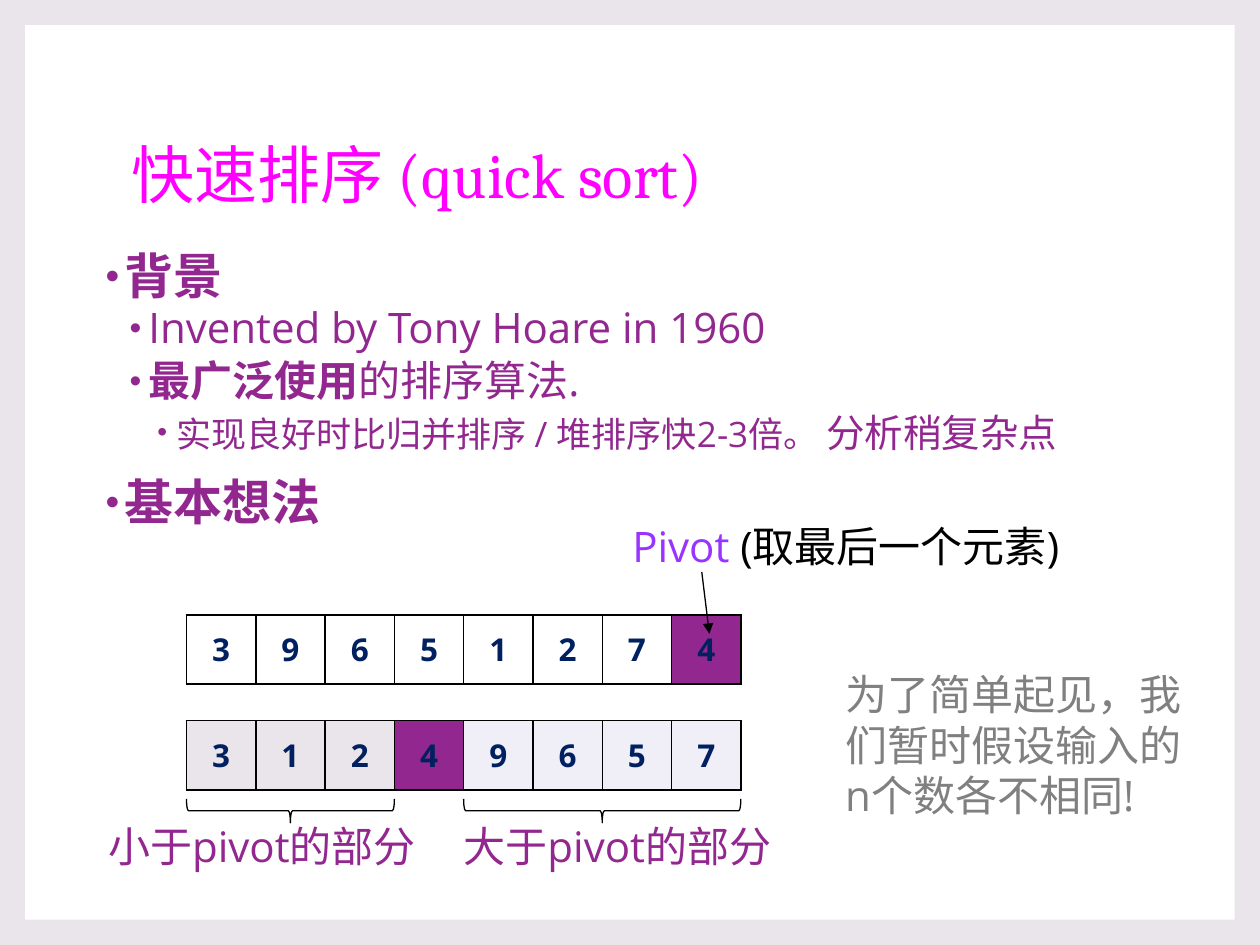
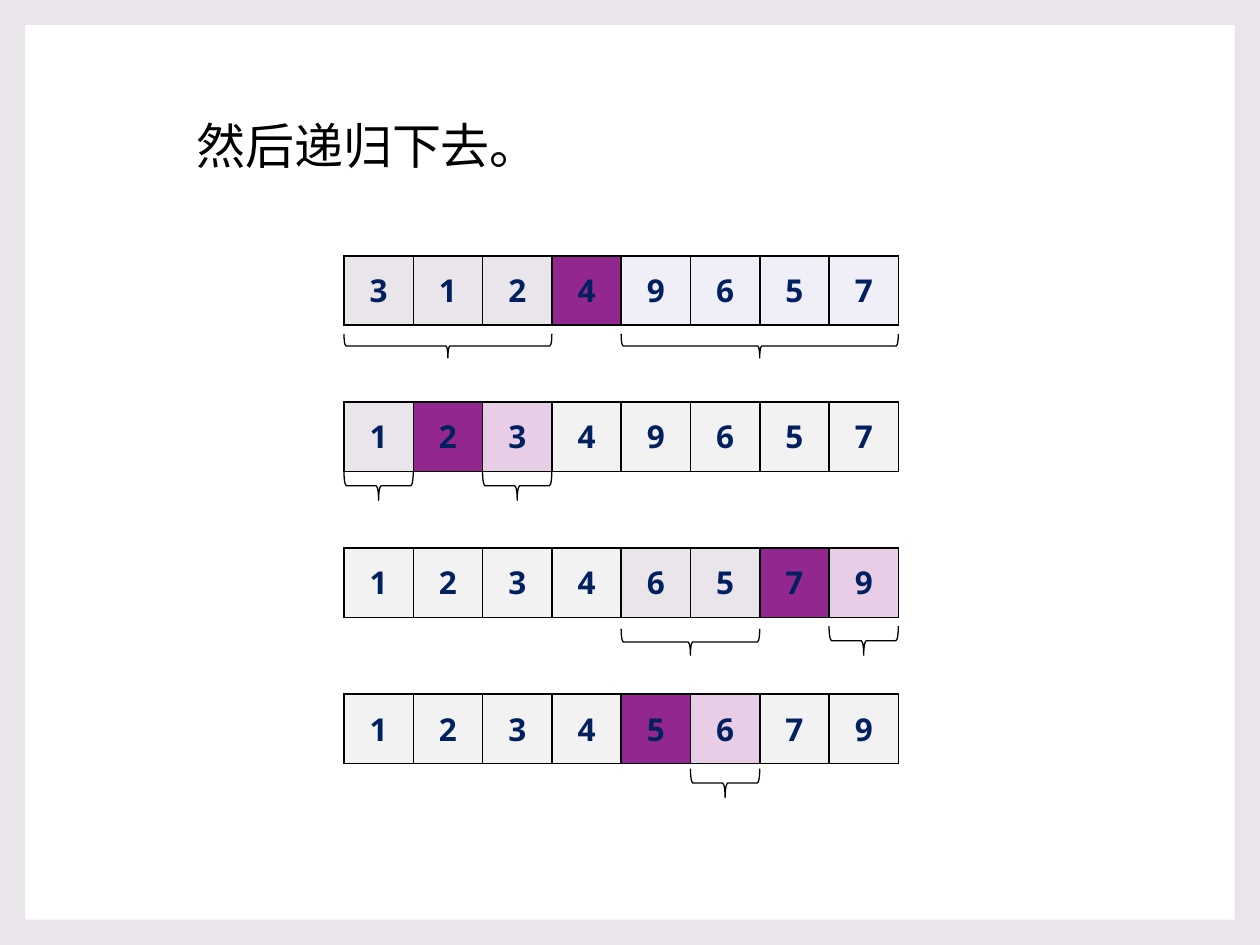
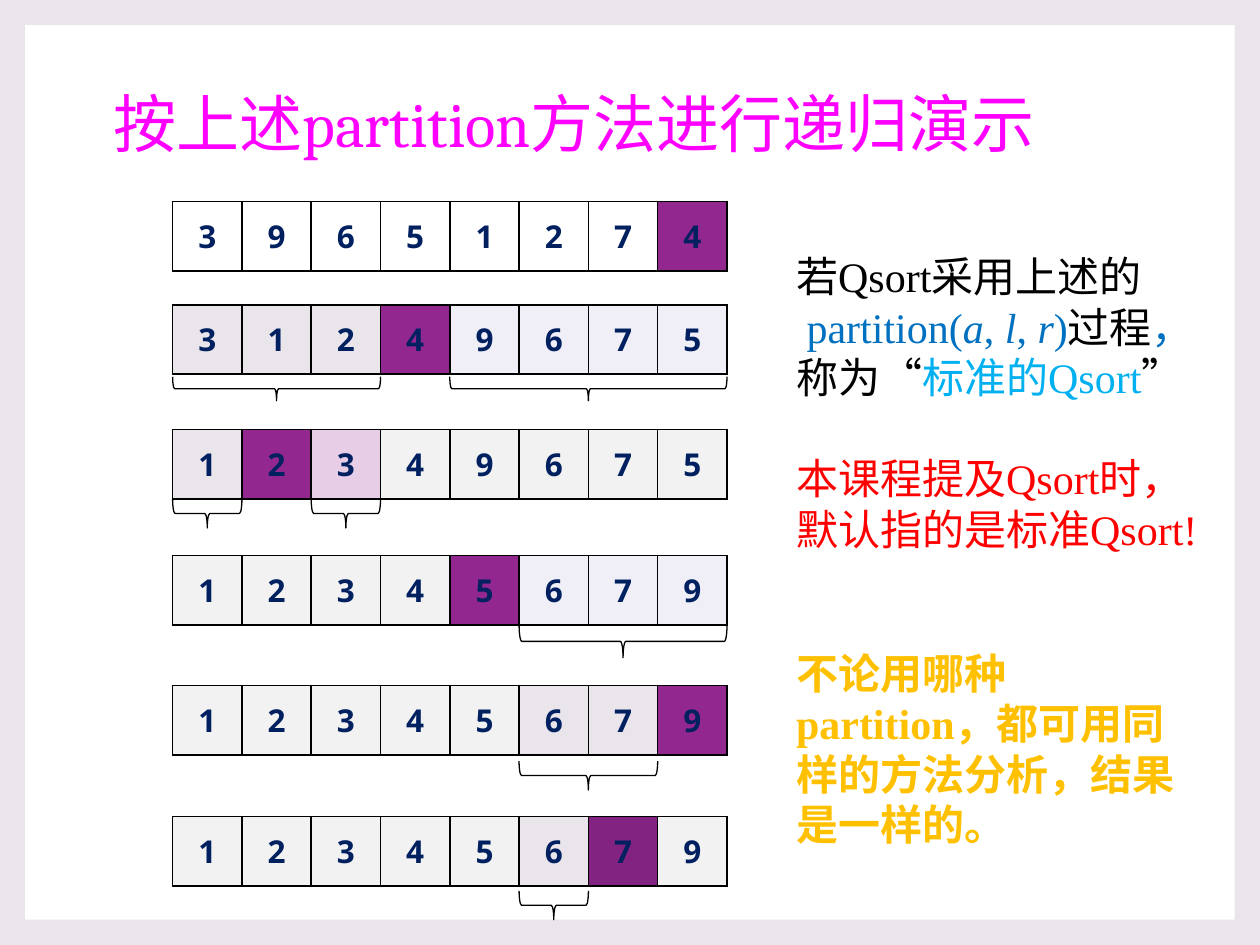
from dataclasses import dataclass
from typing import Optional

from lxml.etree import SubElement
from pptx import Presentation
from pptx.dml.color import RGBColor
from pptx.enum.shapes import MSO_CONNECTOR as Connector, MSO_SHAPE as Preset
from pptx.enum.text import MSO_ANCHOR as Anchor, MSO_AUTO_SIZE as AutoSize, PP_ALIGN as Align
from pptx.oxml.ns import qn
from pptx.util import Emu, Inches, Pt


@dataclass(frozen=True)
class Theme:
    sans: str = "Open Sans"
    serif: str = "Times New Roman"
    heading: str = "Cambria"
    frame: str = "EAE5EB"
    panel: str = "FFFFFF"
    title: str = "FF00FF"
    accent: str = "92278F"
    ink: str = "000000"
    digit: str = "002060"
    violet: str = "9933FF"
    muted: str = "808080"
    blue: str = "0070C0"
    cyan: str = "00B0F0"
    red: str = "FF0000"
    gold: str = "FFC000"
    title_size: float = 36
    topic_size: float = 28
    text_size: float = 24
    remark_size: float = 22
    detail_size: float = 20
    digit_size: float = 18
    hairline: float = 0.75
    border: float = 1


THEME = Theme()
CELL = Inches(0.55)
CELL_FILLS = {
    "W": THEME.panel,
    "L": THEME.frame,
    "P": THEME.accent,
    "Q": "832381",
    "H": "F0EFF8",
    "S": "E8CDE7",
    "D": "F2F2F2",
}


@dataclass(frozen=True)
class Style:
    name: Optional[str] = None
    size: Optional[float] = None
    color: Optional[str] = None
    bold: Optional[bool] = None
    italic: Optional[bool] = None


@dataclass(frozen=True)
class Span:
    text: str
    style: Style = Style()


@dataclass(frozen=True)
class Line:
    spans: tuple[Span, ...]
    style: Style
    space_before: float = 0


@dataclass(frozen=True)
class Bullet:
    level: int
    line: Line


@dataclass(frozen=True)
class Box:
    left: float
    top: float
    width: float
    height: float


@dataclass(frozen=True)
class Brace:
    first: int
    count: int
    gap: float
    depth: float = 0.23


@dataclass(frozen=True)
class ArrayRow:
    top: float
    values: str
    fills: str
    braces: tuple[Brace, ...] = ()


BULLET_INDENTS = (0.19, 0.38, 0.6)
TITLE_STYLE = Style(THEME.heading, THEME.title_size, THEME.title)
DIGIT_STYLE = Style(THEME.sans, THEME.digit_size, THEME.digit, True)
ACCENT_STYLE = Style(THEME.sans, THEME.text_size, THEME.accent)
TOPIC_STYLE = Style(THEME.sans, THEME.topic_size, THEME.accent, True)
SERIF_STYLE = Style(THEME.serif, THEME.text_size, THEME.ink)
HALVES = (Brace(0, 3, 0.07, 0.19), Brace(4, 4, 0.07, 0.19))
CLOSE_HALVES = (Brace(0, 3, 0.02, 0.19), Brace(4, 4, 0.02, 0.19))
SINGLES = (Brace(0, 1, 0), Brace(2, 1, 0))


def plain(text: str, style: Style, space_before: float = 0) -> Line:
    return Line((Span(text),), style, space_before)


def apply_style(font, style: Style) -> None:
    if style.name:
        font.name = style.name
    if style.size:
        font.size = Pt(style.size)
    if style.color:
        font.color.rgb = RGBColor.from_string(style.color)
    if style.bold is not None:
        font.bold = style.bold
    if style.italic is not None:
        font.italic = style.italic


def write_line(paragraph, line: Line) -> None:
    if line.space_before:
        paragraph.space_before = Pt(line.space_before)
    apply_style(paragraph.font, line.style)
    for span in line.spans:
        run = paragraph.add_run()
        run.text = span.text
        if span.style != Style():
            apply_style(run.font, span.style)


def place(shape, box: Box) -> None:
    shape.left, shape.top = Inches(box.left), Inches(box.top)
    shape.width, shape.height = Inches(box.width), Inches(box.height)


def add_paragraphs(text_frame, count: int) -> list:
    return [text_frame.paragraphs[0]] + [text_frame.add_paragraph() for _ in range(count - 1)]


def add_text(slide, box: Box, *lines: Line, wrap: bool = True) -> None:
    shape = slide.shapes.add_textbox(0, 0, 0, 0)
    place(shape, box)
    shape.text_frame.word_wrap = wrap
    for paragraph, line in zip(add_paragraphs(shape.text_frame, len(lines)), lines):
        write_line(paragraph, line)


def set_title(slide, box: Box, line: Line) -> None:
    title = slide.shapes.title
    place(title, box)
    title.text_frame.auto_size = AutoSize.NONE
    title.text_frame.vertical_anchor = Anchor.MIDDLE
    paragraph = title.text_frame.paragraphs[0]
    paragraph.alignment = Align.LEFT
    paragraph.line_spacing = 0.9
    write_line(paragraph, line)


def format_bullet(paragraph, level: int) -> None:
    paragraph.level = level
    paragraph.line_spacing = 0.9
    paragraph.space_before = Pt(1.5 if level else 10)
    paragraph.space_after = Pt(3 if level else 0)
    properties = paragraph._p.get_or_add_pPr()
    properties.set("marL", str(Inches(BULLET_INDENTS[level])))
    properties.set("indent", str(Inches(-0.15)))
    color = SubElement(properties, qn("a:buClr"))
    SubElement(color, qn("a:srgbClr"), val=THEME.accent)
    SubElement(properties, qn("a:buSzPct"), val="80000")
    SubElement(properties, qn("a:buFont"), typeface="Arial")
    SubElement(properties, qn("a:buChar"), char="•")


def add_bullets(slide, box: Box, bullets: tuple[Bullet, ...]) -> None:
    shape = slide.shapes.add_textbox(0, 0, 0, 0)
    place(shape, box)
    shape.text_frame.word_wrap = True
    for paragraph, bullet in zip(add_paragraphs(shape.text_frame, len(bullets)), bullets):
        format_bullet(paragraph, bullet.level)
        write_line(paragraph, bullet.line)


def add_borders(cell) -> None:
    properties = cell._tc.get_or_add_tcPr()
    for side in ("lnL", "lnR", "lnT", "lnB"):
        edge = SubElement(properties, qn(f"a:{side}"), w=str(Pt(THEME.border)))
        fill = SubElement(edge, qn("a:solidFill"))
        SubElement(fill, qn("a:srgbClr"), val=THEME.ink)


def set_line(line) -> None:
    line.color.rgb = RGBColor.from_string(THEME.ink)
    line.width = Pt(THEME.hairline)


def add_brace(slide, row_left: Emu, row_bottom: Emu, brace: Brace) -> None:
    span, depth = CELL * brace.count, Inches(brace.depth)
    center_x = row_left + CELL * brace.first + span // 2
    center_y = row_bottom + Inches(brace.gap) + depth // 2
    shape = slide.shapes.add_shape(
        Preset.LEFT_BRACE, center_x - depth // 2, center_y - span // 2, depth, span
    )
    shape.rotation = 270
    shape.shadow.inherit = False
    shape.fill.background()
    set_line(shape.line)


def add_array(slide, left: float, row: ArrayRow) -> None:
    row_left, row_top = Inches(left), Inches(row.top)
    count = len(row.values)
    table = slide.shapes.add_table(1, count, row_left, row_top, CELL * count, CELL).table
    table.first_row = table.horz_banding = False
    for column, cell, value, fill in zip(
        table.columns, table.rows[0].cells, row.values, row.fills
    ):
        column.width = CELL
        add_borders(cell)
        cell.fill.solid()
        cell.fill.fore_color.rgb = RGBColor.from_string(CELL_FILLS[fill])
        cell.vertical_anchor = Anchor.MIDDLE
        paragraph = cell.text_frame.paragraphs[0]
        paragraph.alignment = Align.CENTER
        write_line(paragraph, plain(value, DIGIT_STYLE))
    for brace in row.braces:
        add_brace(slide, row_left, row_top + CELL, brace)


def add_arrow(slide, start: tuple[float, float], end: tuple[float, float]) -> None:
    arrow = slide.shapes.add_connector(
        Connector.STRAIGHT, *(Inches(value) for value in start + end)
    )
    set_line(arrow.line)
    SubElement(arrow.line._get_or_add_ln(), qn("a:tailEnd"), type="triangle")
    SubElement(arrow._element.spPr, qn("a:effectLst"))


def set_master(presentation, slide) -> None:
    master = presentation.slide_master
    master.background.fill.solid()
    master.background.fill.fore_color.rgb = RGBColor.from_string(THEME.frame)
    panel = slide.shapes.add_shape(Preset.RECTANGLE, 0, 0, 0, 0)
    place(panel, Box(0.2, 0.2, 9.6, 7.1))
    panel.shadow.inherit = False
    panel.fill.solid()
    panel.fill.fore_color.rgb = RGBColor.from_string(THEME.panel)
    panel.line.fill.background()
    panel._element.nvSpPr.cNvPr.set("id", "20")
    master.shapes.element.insert(2, panel._element)


def build_idea(slide) -> None:
    set_title(slide, Box(0.94, 0.67, 8.1, 1.48), plain("快速排序 (quick sort)", TITLE_STYLE))
    detail = Line(
        (
            Span("实现良好时比归并排序 / 堆排序快2-3倍。 ", Style(size=THEME.detail_size)),
            Span("分析稍复杂点", Style(size=THEME.remark_size)),
        ),
        ACCENT_STYLE,
    )
    usage = Line((Span("最广泛使用", Style(bold=True)), Span("的排序算法.")), ACCENT_STYLE)
    add_bullets(
        slide,
        Box(0.7, 1.95, 9.3, 3.12),
        (
            Bullet(0, plain("背景", TOPIC_STYLE)),
            Bullet(1, plain("Invented by Tony Hoare in 1960", ACCENT_STYLE)),
            Bullet(1, usage),
            Bullet(2, detail),
            Bullet(0, plain("基本想法", TOPIC_STYLE)),
        ),
    )
    add_array(slide, 1.48, ArrayRow(4.88, "39651274", "WWWWWWWP"))
    add_array(slide, 1.48, ArrayRow(5.72, "31249657", "LLLPHHHH", HALVES))
    pivot = Line(
        (
            Span("Pivot ", Style(color=THEME.violet)),
            Span("(取最后一个元素)", Style(color=THEME.ink)),
        ),
        Style(THEME.sans, THEME.text_size),
    )
    add_text(slide, Box(4.92, 4.08, 3.78, 0.5), pivot)
    add_text(slide, Box(0.76, 6.46, 2.78, 0.5), plain("小于pivot的部分", ACCENT_STYLE))
    add_text(slide, Box(3.58, 6.46, 2.89, 0.5), plain("大于pivot的部分", ACCENT_STYLE))
    add_text(
        slide,
        Box(6.61, 5.26, 2.89, 1.31),
        plain(
            "为了简单起见，我们暂时假设输入的n个数各不相同!",
            Style(THEME.sans, THEME.text_size, THEME.muted),
        ),
    )
    add_arrow(slide, (5.57, 4.54), (5.63, 5.03))


def build_recursion(slide) -> None:
    add_text(
        slide,
        Box(1.46, 0.87, 2.95, 0.57),
        plain("然后递归下去。", Style(THEME.sans, THEME.topic_size, THEME.ink)),
        wrap=False,
    )
    steps = (
        ("31249657", "LLLPHHHH", HALVES),
        ("12349657", "LPSDDDDD", SINGLES),
        ("12346579", "DDDDLLPS", (Brace(4, 2, 0.09, 0.21), Brace(7, 1, 0.07))),
        ("12345679", "DDDDPSDD", (Brace(5, 1, 0.04),)),
    )
    for index, step in enumerate(steps):
        add_array(slide, 2.73, ArrayRow(2.03 + 1.16 * index, *step))


def build_demo(slide) -> None:
    sans = Style(name=THEME.sans)
    title = Line((Span("按上述", sans), Span("partition"), Span("方法进行递归演示", sans)), TITLE_STYLE)
    set_title(slide, Box(0.8, 0.56, 8.5, 0.9), title)
    for row in (
        ArrayRow(1.6, "39651274", "WWWWWWWP"),
        ArrayRow(2.42, "31249675", "LLLPHHHH", CLOSE_HALVES),
        ArrayRow(3.41, "12349675", "LPSDDDDD", SINGLES),
        ArrayRow(4.41, "12345679", "DDDDPHHH", (Brace(5, 3, 0, 0.26),)),
        ArrayRow(5.44, "12345679", "DDDDDLLP", (Brace(5, 2, 0.05),)),
        ArrayRow(6.48, "12345679", "DDDDDLQD", (Brace(5, 1, 0.04),)),
    ):
        add_array(slide, 1.37, row)
    blue = Style(color=THEME.blue)
    argument = Style(color=THEME.blue, italic=True)
    signature = (
        Span(" partition(", blue),
        Span("a", argument),
        Span(", ", blue),
        Span("l", argument),
        Span(", ", blue),
        Span("r", argument),
        Span(")", blue),
        Span("过程"),
        Span("，", blue),
    )
    naming = (Span("称为“"), Span("标准的Qsort", Style(color=THEME.cyan)), Span("”"))
    convention = Style(THEME.serif, THEME.text_size, THEME.red)
    add_text(
        slide,
        Box(6.22, 1.94, 3.45, 2.52),
        plain("若Qsort采用上述的", SERIF_STYLE),
        Line(signature, SERIF_STYLE),
        Line(naming, SERIF_STYLE),
        plain("本课程提及Qsort时，", convention, 29),
        plain("默认指的是标准Qsort!", convention),
    )
    add_text(
        slide,
        Box(6.22, 5.09, 3.3, 1.31),
        plain(
            "不论用哪种partition，都可用同样的方法分析，结果是一样的。",
            Style(THEME.serif, THEME.text_size, THEME.gold, True),
        ),
    )


def main() -> None:
    presentation = Presentation()
    presentation.slide_width, presentation.slide_height = Inches(10), Inches(7.5)
    title_only, blank = presentation.slide_layouts[5], presentation.slide_layouts[6]
    idea = presentation.slides.add_slide(title_only)
    set_master(presentation, idea)
    build_idea(idea)
    build_recursion(presentation.slides.add_slide(blank))
    build_demo(presentation.slides.add_slide(title_only))
    presentation.save("out.pptx")


if __name__ == "__main__":
    main()
